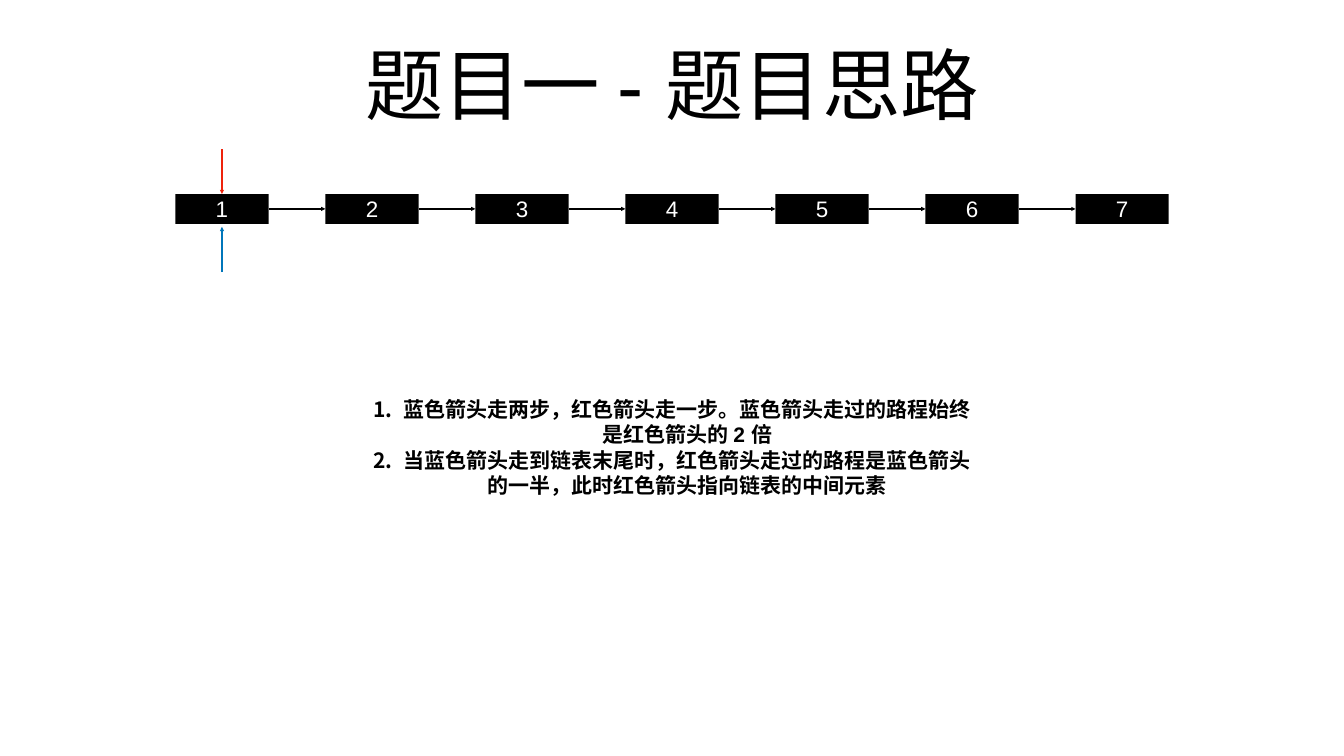
from lxml.etree import SubElement
from pptx import Presentation
from pptx.dml.color import RGBColor
from pptx.enum.shapes import MSO_CONNECTOR, MSO_SHAPE
from pptx.enum.text import MSO_ANCHOR, MSO_AUTO_SIZE, PP_ALIGN
from pptx.oxml.ns import qn
from pptx.util import Inches, Pt

COLORS = {"black": "000000", "white": "FFFFFF", "red": "EE230C", "blue": "0076BA"}

NODE_COUNT = 7
NODE_LEFT, NODE_TOP = 3.48, 3.85
NODE_WIDTH, NODE_HEIGHT = 1.85, 0.59
NODE_PITCH = 2.977
POINTER_X = NODE_LEFT + NODE_WIDTH / 2
TOP, LEFT, RIGHT = 0, 1, 3  # connection sites of a rectangle

STEPS = [
    "蓝色箭头走两步，红色箭头走一步。蓝色箭头走过的路程始终是红色箭头的 2 倍",
    "当蓝色箭头走到链表末尾时，红色箭头走过的路程是蓝色箭头的一半，此时红色箭头指向链表的中间元素",
]


def color(name):
    return RGBColor.from_string(COLORS[name])


def write(holder, *lines, size, fill="black", bold=False, margin=0.06, numbered=False):
    frame = holder.text_frame
    frame.word_wrap = True
    frame.auto_size = MSO_AUTO_SIZE.NONE
    frame.vertical_anchor = MSO_ANCHOR.MIDDLE
    frame.margin_left = frame.margin_right = Inches(margin)
    frame.margin_top = frame.margin_bottom = Inches(margin)
    for index, line in enumerate(lines):
        paragraph = frame.paragraphs[0] if index == 0 else frame.add_paragraph()
        paragraph.alignment = PP_ALIGN.CENTER
        paragraph.space_before = Pt(0)
        if numbered:
            number(paragraph)
        run = paragraph.add_run()
        run.text = line
        run.font.name = "Arial"
        run.font.size = Pt(size)
        run.font.bold = bold
        run.font.color.rgb = color(fill)


def number(paragraph, indent=0.61):
    properties = paragraph._p.get_or_add_pPr()
    properties.set("marL", str(Inches(indent)))
    properties.set("indent", str(-Inches(indent)))
    SubElement(properties, qn("a:buFont"), typeface="Arial")
    SubElement(properties, qn("a:buAutoNum"), type="arabicPeriod")


def place(holder, left, top, width, height):
    holder.left, holder.top = Inches(left), Inches(top)
    holder.width, holder.height = Inches(width), Inches(height)


def add_node(slide, index):
    node = slide.shapes.add_shape(
        MSO_SHAPE.RECTANGLE, Inches(NODE_LEFT + index * NODE_PITCH),
        Inches(NODE_TOP), Inches(NODE_WIDTH), Inches(NODE_HEIGHT))
    node.shadow.inherit = False
    node.fill.solid()
    node.fill.fore_color.rgb = color("black")
    node.line.fill.background()
    write(node, str(index + 1), size=32, fill="white", margin=0)
    return node


def add_arrow(slide, stroke, start=(0, 0), end=(0, 0)):
    arrow = slide.shapes.add_connector(
        MSO_CONNECTOR.STRAIGHT, *(Inches(value) for value in (*start, *end)))
    arrow.line.width = Pt(2)
    arrow.line.color.rgb = color(stroke)
    SubElement(arrow.line._get_or_add_ln(), qn("a:tailEnd"), type="triangle")
    SubElement(arrow._element.spPr, qn("a:effectLst"))
    return arrow


def main():
    presentation = Presentation()
    presentation.slide_width = Inches(26.67)
    presentation.slide_height = Inches(15)
    slide = presentation.slides.add_slide(presentation.slide_layouts[1])
    title, steps = slide.placeholders

    # Title
    place(title, 1.85, 0.39, 22.97, 2.5)
    write(title, "题目一 - 题目思路", size=112)

    # Linked list
    nodes = [add_node(slide, index) for index in range(NODE_COUNT)]
    for node, following in zip(nodes, nodes[1:]):
        link = add_arrow(slide, "black")
        link.begin_connect(node, RIGHT)
        link.end_connect(following, LEFT)

    # Slow (red) and fast (blue) pointers
    slow = add_arrow(slide, "red", (POINTER_X, 2.96), (POINTER_X, NODE_TOP))
    slow.end_connect(nodes[0], TOP)
    add_arrow(slide, "blue", (POINTER_X, 5.4), (POINTER_X, 4.5))

    # Explanation
    place(steps, 7.25, 7.64, 12.17, 2.46)
    write(steps, *STEPS, size=30, bold=True, numbered=True)

    presentation.save("out.pptx")


if __name__ == "__main__":
    main()
